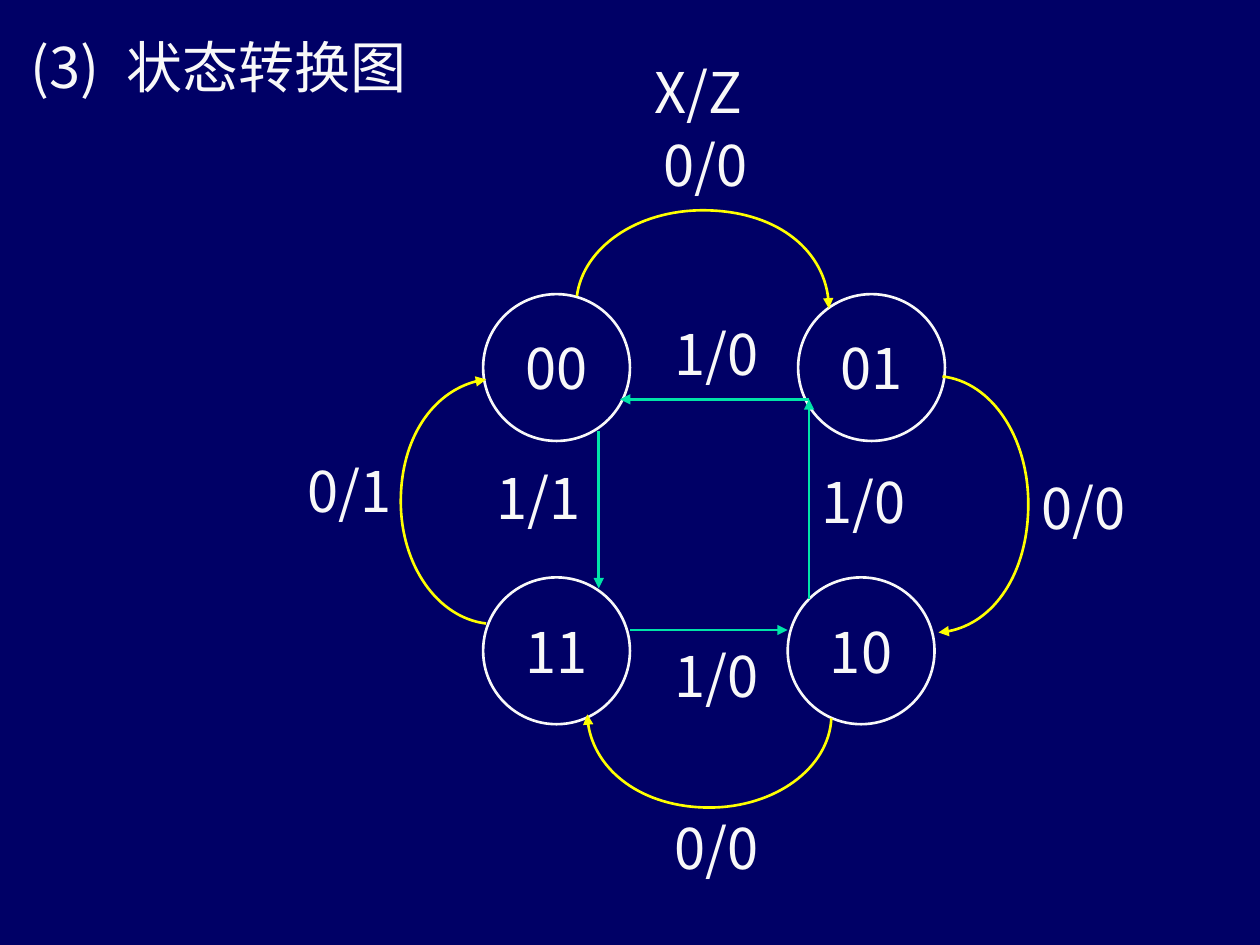
import pptx
import pptx.util
import pptx.dml.color
import pptx.enum.shapes
import pptx.enum.text
import pptx.oxml
import pptx.oxml.ns
from pptx.util import Cm

# Content: all places in centimetres
FONT = "Noto Sans CJK SC"
NAVY, WHITE, YELLOW, GREEN = "000066", "F8F8F8", "FFFF00", "00E4A8"
TITLE = "(3)\t状态转换图"
TITLE_TAB = 1.93
DIAMETER = 2.96
STATES = [("00", 9.74, 5.93), ("01", 16.09, 5.93),
          ("10", 15.88, 11.64), ("11", 9.74, 11.64)]

# Text, left, top, width
LABELS = [
    ("X/Z", 12.95, 1.04, 2.54),
    ("0/0", 13.13, 2.51, 2.18),
    ("1/1", 9.75, 9.22, 2.18),
    ("1/0", 13.34, 12.8, 2.18),
    ("1/0", 16.31, 9.3, 2.18),
    ("1/0", 13.34, 6.32, 2.18),
    ("0/0", 20.75, 9.42, 2.18),
    ("0/0", 13.34, 16.28, 2.18),
    ("0/1", 5.94, 9.07, 2.18),
]

# Transitions for input 1: start and end
STRAIGHT = [
    (12.07, 8.69, 12.07, 11.86),
    (12.7, 12.7, 15.88, 12.7),
    (16.31, 12.07, 16.31, 8.05),
    (16.31, 8.05, 12.5, 8.05),
]

# Transitions for input 0: start, then three points for each Bézier curve
CURVES = [
    [(11.63, 5.97), (11.76, 4.98), (12.85, 4.24), (14.17, 4.24),
     (15.6, 4.24), (16.71, 5.08), (16.71, 6.22)],
    [(19, 7.59), (19.99, 7.7), (20.73, 8.81), (20.73, 10.16),
     (20.73, 11.56), (19.94, 12.7), (18.92, 12.75)],
    [(16.76, 14.48), (16.71, 15.49), (15.62, 16.28), (14.3, 16.28),
     (12.95, 16.28), (11.86, 15.44), (11.84, 14.4)],
    [(9.8, 12.57), (8.81, 12.45), (8.08, 11.38), (8.08, 10.11),
     (8.08, 8.84), (8.81, 7.77), (9.8, 7.65)],
]


def color(value):
    return pptx.dml.color.RGBColor.from_string(value)


def add_element(parent, tag, **attributes):
    element = pptx.oxml.parse_xml(
        f"<{tag} {pptx.oxml.ns.nsdecls('a')}/>")
    for name, value in attributes.items():
        element.set(name, value)
    parent.append(element)
    return element


def write(shape, text, size=32, align="LEFT", anchor="TOP", margin=0.25,
          wrap=False, tab=None):
    frame = shape.text_frame
    frame.word_wrap = wrap
    frame.auto_size = pptx.enum.text.MSO_AUTO_SIZE.NONE
    frame.vertical_anchor = getattr(pptx.enum.text.MSO_ANCHOR, anchor)
    frame.margin_left = frame.margin_right = Cm(margin)
    frame.margin_top = frame.margin_bottom = Cm(0.13)
    para = frame.paragraphs[0]
    para.alignment = getattr(pptx.enum.text.PP_ALIGN, align)
    para.line_spacing = 1.0
    para.space_before = pptx.util.Pt(0)
    if tab:
        stops = add_element(para._p.get_or_add_pPr(), "a:tabLst")
        add_element(stops, "a:tab", pos=str(Cm(tab)), algn="l")
    span = para.add_run()
    span.text = text
    span.font.size = pptx.util.Pt(size)
    span.font.name = FONT
    span.font.color.rgb = color(WHITE)
    add_element(span._r.get_or_add_rPr(), "a:ea", typeface=FONT)


def outline(shape, value, arrow=False):
    shape.line.color.rgb = color(value)
    shape.line.width = pptx.util.Pt(1.5)
    if arrow:
        add_element(shape.line._get_or_add_ln(), "a:tailEnd", type="triangle")


def add_state(page, name, left, top):
    circle = page.shapes.add_shape(
        pptx.enum.shapes.MSO_SHAPE.OVAL,
        Cm(left), Cm(top), Cm(DIAMETER), Cm(DIAMETER))
    circle.shadow.inherit = False
    circle.fill.background()
    outline(circle, WHITE)
    write(circle, name, align="CENTER", anchor="MIDDLE", margin=0)


def add_arrow(page, ends):
    arrow = page.shapes.add_connector(
        pptx.enum.shapes.MSO_CONNECTOR.STRAIGHT, *map(Cm, ends))
    outline(arrow, GREEN, arrow=True)
    add_element(arrow._element.spPr, "a:effectLst")


def add_curve(page, points):
    start, *others = [(Cm(x), Cm(y)) for x, y in points]
    builder = page.shapes.build_freeform(*start)
    builder.add_line_segments(others, close=False)
    curve = builder.convert_to_shape()
    # Turn each three line segments into one Bézier curve
    lines = list(curve._element.iter(pptx.oxml.ns.qn("a:lnTo")))
    outline_path = lines[0].getparent()
    for first in range(0, len(lines), 3):
        bezier = add_element(outline_path, "a:cubicBezTo")
        for line in lines[first:first + 3]:
            bezier.append(line[0])
            outline_path.remove(line)
    curve.shadow.inherit = False
    curve.fill.background()
    outline(curve, YELLOW, arrow=True)


def main():
    deck = pptx.Presentation()
    deck.slide_width, deck.slide_height = Cm(25.4), Cm(19.05)
    page = deck.slides.add_slide(deck.slide_layouts[5])
    page.background.fill.solid()
    page.background.fill.fore_color.rgb = color(NAVY)

    # Title
    title = page.shapes.title
    title.left, title.top = Cm(0.36), Cm(0.53)
    title.width, title.height = Cm(8.69), Cm(1.63)
    write(title, TITLE, wrap=True, tab=TITLE_TAB)

    # States and transitions
    for state in STATES:
        add_state(page, *state)
    for ends in STRAIGHT:
        add_arrow(page, ends)
    for points in CURVES:
        add_curve(page, points)

    # Input/output labels
    for text, left, top, width in LABELS:
        box = page.shapes.add_textbox(Cm(left), Cm(top), Cm(width), Cm(1.63))
        write(box, text)

    deck.save("out.pptx")


if __name__ == "__main__":
    main()
